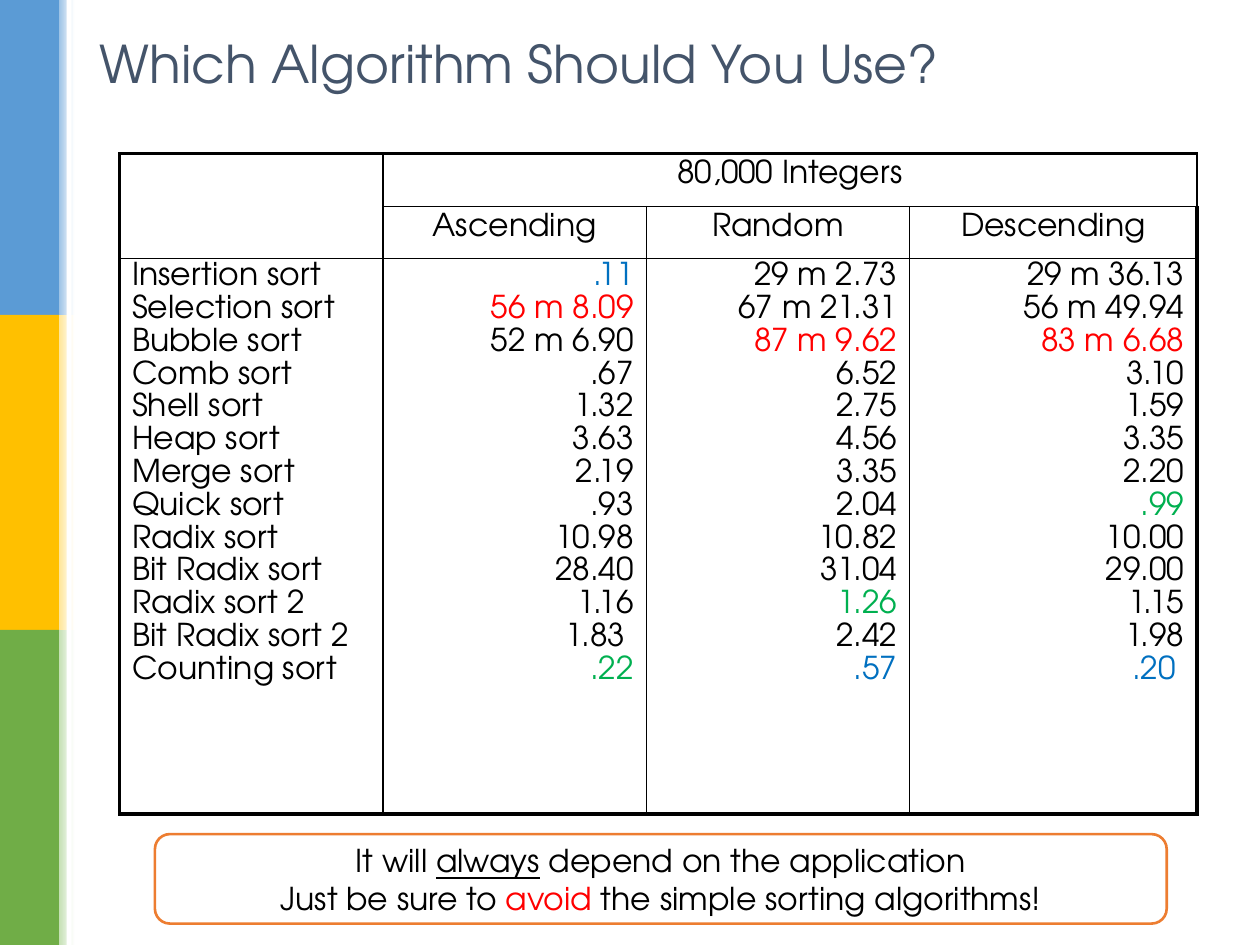
"""Build a slide comparing the running times of sorting algorithms."""
import pptx
import pptx.util
import pptx.dml.color
import pptx.enum.shapes
import pptx.enum.text
import pptx.oxml.ns
import lxml.etree

Inches = pptx.util.Inches
RGBColor = pptx.dml.color.RGBColor
Align = pptx.enum.text.PP_ALIGN
Shapes = pptx.enum.shapes.MSO_SHAPE
qn = pptx.oxml.ns.qn

BLACK = RGBColor(0, 0, 0)
WHITE = RGBColor(255, 255, 255)
SLATE = RGBColor(0x44, 0x54, 0x6A)
ORANGE = RGBColor(0xED, 0x7D, 0x31)
RED = RGBColor(0xFF, 0, 0)
BLUE = RGBColor(0, 0x70, 0xC0)
GREEN = RGBColor(0, 0xB0, 0x50)
BANDS = [
    (RGBColor(0x5B, 0x9B, 0xD5), RGBColor(0x9D, 0xC3, 0xE6)),
    (RGBColor(0xFF, 0xC0, 0), RGBColor(0xFF, 0xE6, 0x99)),
    (RGBColor(0x70, 0xAD, 0x47), RGBColor(0xC5, 0xE0, 0xB4)),
]
FONT = "TeX Gyre Adventor"
HEADINGS = ["Ascending", "Random", "Descending"]
TIMINGS = [
    ("Insertion sort", ".11", "29 m 2.73", "29 m 36.13"),
    ("Selection sort", "56 m 8.09", "67 m 21.31", "56 m 49.94"),
    ("Bubble sort", "52 m 6.90", "87 m 9.62", "83 m 6.68"),
    ("Comb sort", ".67", "6.52", "3.10"),
    ("Shell sort", "1.32", "2.75", "1.59"),
    ("Heap sort", "3.63", "4.56", "3.35"),
    ("Merge sort", "2.19", "3.35", "2.20"),
    ("Quick sort", ".93", "2.04", ".99"),
    ("Radix sort", "10.98", "10.82", "10.00"),
    ("Bit Radix sort", "28.40", "31.04", "29.00"),
    ("Radix sort 2", "1.16", "1.26", "1.15"),
    ("Bit Radix sort 2", "1.83 ", "2.42", "1.98"),
    ("Counting sort", ".22", ".57", ".20 "),
]
HIGHLIGHTS = {
    ".11": BLUE, ".57": BLUE, ".20 ": BLUE,
    "56 m 8.09": RED, "87 m 9.62": RED, "83 m 6.68": RED,
    ".22": GREEN, "1.26": GREEN, ".99": GREEN,
}


def write_lines(text_frame, lines, alignment, line_spacing=None, space_before=None):
    """Write paragraphs, each a list of (text, font format) runs."""
    for index, runs in enumerate(lines):
        paragraph = text_frame.paragraphs[0] if index == 0 else text_frame.add_paragraph()
        paragraph.alignment = alignment
        paragraph.line_spacing = line_spacing
        if space_before:
            paragraph.space_before = pptx.util.Pt(0)
            spacing = paragraph._p.pPr.find(qn("a:spcBef"))
            spacing.remove(spacing[0])
            lxml.etree.SubElement(spacing, qn("a:spcPct"), val=str(space_before * 1000))
        for text, changes in runs:
            run = paragraph.add_run()
            run.text = text
            formats = {"name": FONT, "size": pptx.util.Pt(18), "color": BLACK, **changes}
            run.font.color.rgb = formats.pop("color")
            for name, value in formats.items():
                setattr(run.font, name, value)


def set_borders(cell, widths):
    """Give the cell black borders; a width of zero means no line."""
    properties = cell._tc.get_or_add_tcPr()
    for position, (side, width) in enumerate(widths.items()):
        line = lxml.etree.Element(qn(f"a:ln{side}"), w=str(pptx.util.Pt(width)))
        if width:
            fill = lxml.etree.SubElement(line, qn("a:solidFill"))
            lxml.etree.SubElement(fill, qn("a:srgbClr"), val=str(BLACK))
        else:
            lxml.etree.SubElement(line, qn("a:noFill"))
        properties.insert(position, line)


presentation = pptx.Presentation()
presentation.slide_width = Inches(10)
presentation.slide_height = Inches(7.5)
slide = presentation.slides.add_slide(presentation.slide_layouts[5])

side_bars = []
for index, (band_color, fade_color) in enumerate(BANDS):
    side_bars.append((0, 2.5 * index, 0.47, 2.5, [band_color]))
    side_bars.append((0.47, 2.5 * index, 0.12, 2.5, [fade_color, WHITE]))
side_bars.append((0.53, 0, 0.04, 7.5, [WHITE]))
for left, top, width, height, colors in side_bars:
    bar = slide.shapes.add_shape(
        Shapes.RECTANGLE, Inches(left), Inches(top), Inches(width), Inches(height))
    bar.shadow.inherit = False
    bar.line.fill.background()
    if len(colors) == 1:
        bar.fill.solid()
        bar.fill.fore_color.rgb = colors[0]
    else:
        bar.fill.gradient()
        bar.fill.gradient_angle = 0
        for position, (stop, color) in enumerate(zip(bar.fill.gradient_stops, colors)):
            stop.position = position
            stop.color.rgb = color

title = slide.shapes.title
title_place = {"left": Inches(0.69), "top": Inches(0.21),
               "width": Inches(8.93), "height": Inches(0.58)}
for name, value in title_place.items():
    setattr(title, name, value)
title.text_frame.vertical_anchor = pptx.enum.text.MSO_ANCHOR.MIDDLE
title.text_frame.auto_size = pptx.enum.text.MSO_AUTO_SIZE.NONE
write_lines(title.text_frame, [[("Which Algorithm Should You Use?",
            {"size": pptx.util.Pt(29.7), "color": SLATE})]], Align.LEFT)

table = slide.shapes.add_table(
    3, 4, Inches(0.95), Inches(1.22), Inches(8.55), Inches(5.24)).table
table.first_row = False
table.horz_banding = False
for column, width in zip(table.columns, [2.09, 2.09, 2.09, 2.28]):
    column.width = Inches(width)
for row, height in zip(table.rows, [0.42, 0.41, 4.41]):
    row.height = Inches(height)
for row in range(3):
    for column in range(4):
        cell = table.cell(row, column)
        cell.fill.background()
        set_borders(cell, {
            "L": 2.25 if column == 0 else 1,
            "R": 2.25 if column == 3 else 1,
            "T": 2.25 if row == 0 else 0 if (row, column) == (1, 0) else 1,
            "B": 2.25 if row == 2 else 0 if (row, column) == (0, 0) else 1,
        })
table.cell(0, 1).merge(table.cell(0, 3))
write_lines(table.cell(0, 1).text_frame, [[("80,000 Integers", {})]],
            Align.CENTER, space_before=20)
for column, heading in enumerate(HEADINGS, start=1):
    write_lines(table.cell(1, column).text_frame, [[(heading, {})]],
                Align.CENTER, space_before=20)
for column, entries in enumerate(zip(*TIMINGS)):
    lines = [[(entry, {"color": HIGHLIGHTS.get(entry, BLACK)})] for entry in entries]
    write_lines(table.cell(2, column).text_frame, lines,
                Align.RIGHT if column else Align.LEFT, 0.9, 20)

advice = slide.shapes.add_shape(
    Shapes.ROUNDED_RECTANGLE, Inches(1.23), Inches(6.62), Inches(8.03), Inches(0.71))
advice.shadow.inherit = False
advice.fill.solid()
advice.fill.fore_color.rgb = WHITE
advice.line.color.rgb = ORANGE
advice.line.width = pptx.util.Pt(1.5)
advice.text_frame.word_wrap = True
advice.text_frame.vertical_anchor = pptx.enum.text.MSO_ANCHOR.MIDDLE
write_lines(advice.text_frame, [
    [("It will ", {}), ("always", {"underline": True}), (" depend on the application", {})],
    [("Just be sure to ", {}), ("avoid", {"color": RED}),
     (" the simple sorting algorithms!", {})],
], Align.CENTER)

presentation.save("out.pptx")
